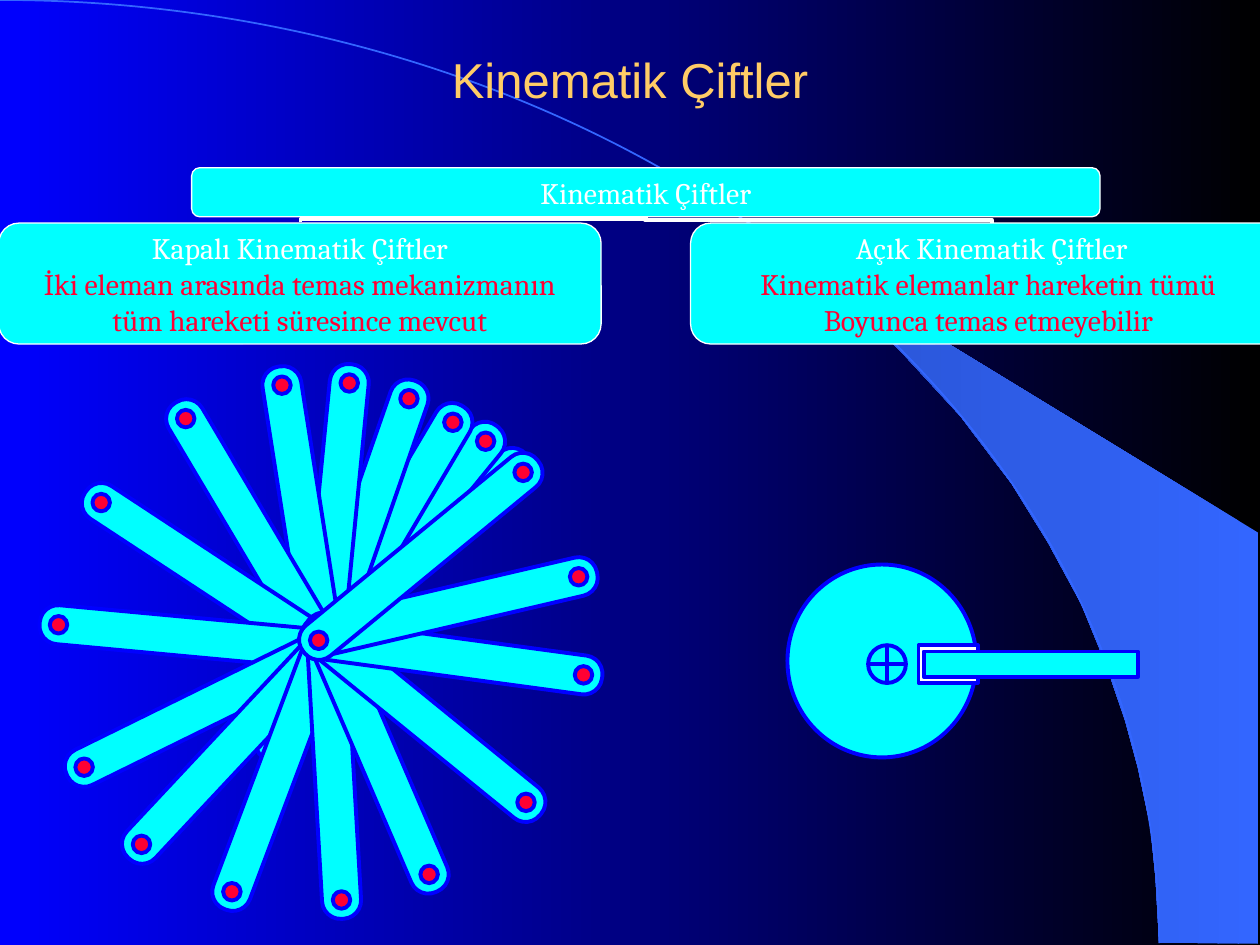
from dataclasses import dataclass
from math import cos, radians, sin

from lxml import etree
from pptx import Presentation, util as u
from pptx.dml.color import RGBColor
from pptx.enum import shapes as s, text as t
from pptx.oxml.ns import qn

Pt = u.Pt
Kind = s.MSO_SHAPE


@dataclass(frozen=True)
class Theme:
    cyan: str = "00FFFF"
    blue: str = "0000FF"
    red: str = "FF0033"
    white: str = "FFFFFF"
    black: str = "000000"
    gold: str = "FFCC66"
    sky: str = "3366FF"
    dusk: str = "2851CB"
    head: str = "Arial"
    body: str = "Cambria"
    big: int = 28
    small: int = 17
    thin: float = 0.75
    thick: float = 2.25


T = Theme()

# Edge of the wedge, relative to its box
EDGE = [(238.3, 414), (295.2, 414.7), (295.2, 180), (0, 0), (25.2, 18.7),
        (46.1, 35.3), (69.1, 55.4), (91.4, 77), (124.6, 113), (154.1, 151.9),
        (175, 185.8), (193.7, 220.3), (208.1, 255.6), (218.9, 287.3),
        (226.1, 313.9), (233.3, 347.8), (236.2, 376.6)]

# Middle of each arm relative to the fan, and its angle
ARMS = [(216.9, 137.9, 317.8), (209.7, 130.7, 309.2), (200.3, 126.4, 300.6),
        (188.8, 119.2, 289.2), (172.2, 114.1, 275.6), (152.8, 114.8, 261.1),
        (124.7, 124.2, 239.3), (101, 148.7, 213.3), (88.7, 184, 185.3),
        (95.9, 225, 153.8), (112.5, 247.3, 133.1), (139.1, 258.8, 110.6),
        (170.8, 258.8, 86.7), (195.3, 250.2, 66.7), (221.9, 230.8, 39.1),
        (238.5, 195.5, 7.7), (237, 166.7, 346.9), (220.5, 137.9, 320.6)]


def rgb(code):
    return RGBColor.from_string(code)


def blend(fill, first, last):
    fill.gradient()
    fill.gradient_angle = 180
    for stop, code, place in zip(fill.gradient_stops, (first, last), (0, 1)):
        stop.color.rgb = rgb(code)
        stop.position = place


def shape(slide, kind, x, y, w, h, fill=T.cyan, line=T.blue, width=T.thick):
    item = slide.shapes.add_shape(kind, Pt(x), Pt(y), Pt(w), Pt(h))
    item.shadow.inherit = False
    if fill:
        item.fill.solid()
        item.fill.fore_color.rgb = rgb(fill)
    else:
        item.fill.background()
    item.line.color.rgb = rgb(line)
    item.line.width = Pt(width)
    return item


def write(frame, lines, size, face):
    frame.vertical_anchor = t.MSO_ANCHOR.MIDDLE
    for i, (words, code) in enumerate(lines):
        para = frame.add_paragraph() if i else frame.paragraphs[0]
        para.text = words
        para.alignment = t.PP_ALIGN.CENTER
        para.font.size = Pt(size)
        para.font.name = face
        para.font.color.rgb = rgb(code)


def backdrop(slide, x, y):
    blend(slide.background.fill, T.black, T.blue)
    # Wedge at the right
    dots = [(Pt(x + 424.1 + a), Pt(y + 124.6 + b)) for a, b in EDGE]
    pen = slide.shapes.build_freeform(*dots[0], scale=1.0)
    pen.add_line_segments(dots[1:], close=True)
    wedge = pen.convert_to_shape()
    wedge.shadow.inherit = False
    wedge.line.fill.background()
    blend(wedge.fill, T.sky, T.dusk)
    # Large quarter arc
    shape(slide, Kind.ARC, x - 662.4, y, 1324.8, 1077.8, None, T.sky, 1)


def title(slide, x, y, w, h):
    box = slide.shapes.add_textbox(Pt(x), Pt(y), Pt(w), Pt(h))
    box.text_frame.word_wrap = True
    write(box.text_frame, [("Kinematik Çiftler", T.gold)], T.big, T.head)


def label(slide, x, y, w, h, lines):
    box = shape(slide, Kind.ROUNDED_RECTANGLE, x, y, w, h,
                line=T.white, width=T.thin)
    frame = box.text_frame
    frame.word_wrap = False
    frame.margin_left = frame.margin_right = Pt(0.72)
    frame.margin_top = frame.margin_bottom = 0
    write(frame, lines, T.small, T.body)


def elbow(slide, x1, y1, x2, y2, turn):
    link = slide.shapes.add_connector(
        s.MSO_CONNECTOR.ELBOW, Pt(x1), Pt(y1), Pt(x2), Pt(y2))
    link.line.color.rgb = rgb(T.white)
    link.line.width = Pt(T.thick)
    props = link.element.spPr
    props.find(qn("a:xfrm")).set("rot", str(turn * 60000))
    etree.SubElement(props, qn("a:effectLst"))


def tree(slide, x, y):
    # Links from the two kinds to the root
    elbow(slide, x + 466.6, y + 128.9, x + 470.2, y - 69.1, 270)
    elbow(slide, x + 272.9, y + 128.2, x + 269.3, y - 69.1, 90)
    # Root and kinds
    label(slide, x + 110.2, y, 519.1, 28.1, [("Kinematik Çiftler", T.white)])
    kinds = [("Kapalı Kinematik Çiftler",
              "İki eleman arasında temas mekanizmanın",
              "tüm hareketi süresince mevcut"),
             ("Açık Kinematik Çiftler",
              "Kinematik elemanlar hareketin tümü ",
              "Boyunca temas etmeyebilir ")]
    for i, words in enumerate(kinds):
        lines = list(zip(words, (T.white, T.red, T.red)))
        label(slide, x + i * 395.3, y + 31.7, 344.2, 69.1, lines)


def arm(slide, x, y, turn, long=172.8, wide=22.3):
    bar = shape(slide, Kind.ROUNDED_RECTANGLE,
                x - long / 2, y - wide / 2, long, wide)
    bar.adjustments[0] = 0.47
    bar.rotation = turn
    # A pin near each end
    reach, size = long / 2 - 10.8, 10
    for side in (-1, 1):
        px = x + side * reach * cos(radians(turn))
        py = y + side * reach * sin(radians(turn))
        shape(slide, Kind.OVAL, px - size / 2, py - size / 2, size, size, T.red)


def fan(slide, x, y):
    arm(slide, x + 148.5, y + 215.3, 111.9, 83.5, 21.6)
    for dx, dy, turn in ARMS:
        arm(slide, x + dx, y + dy, turn)


def cam(slide, x, y):
    shape(slide, Kind.OVAL, x, y, 108, 110.2)
    shape(slide, Kind.FLOWCHART_OR, x + 46.1, y + 46.1, 21.6, 21.6)
    shape(slide, Kind.RECTANGLE, x + 74.9, y + 46.1, 33.8, 21.6, T.white)
    shape(slide, Kind.RECTANGLE, x + 77.8, y + 49.7, 122.4, 14.4)


def main():
    deck = Presentation()
    deck.slide_width, deck.slide_height = Pt(720), Pt(540)
    slide = deck.slides.add_slide(deck.slide_layouts[6])
    backdrop(slide, 0, 0)
    title(slide, 54, 0, 612, 90)
    tree(slide, -0.7, 95.8)
    fan(slide, 20, 180)
    cam(slide, 450, 322.6)
    deck.save("out.pptx")


if __name__ == "__main__":
    main()
